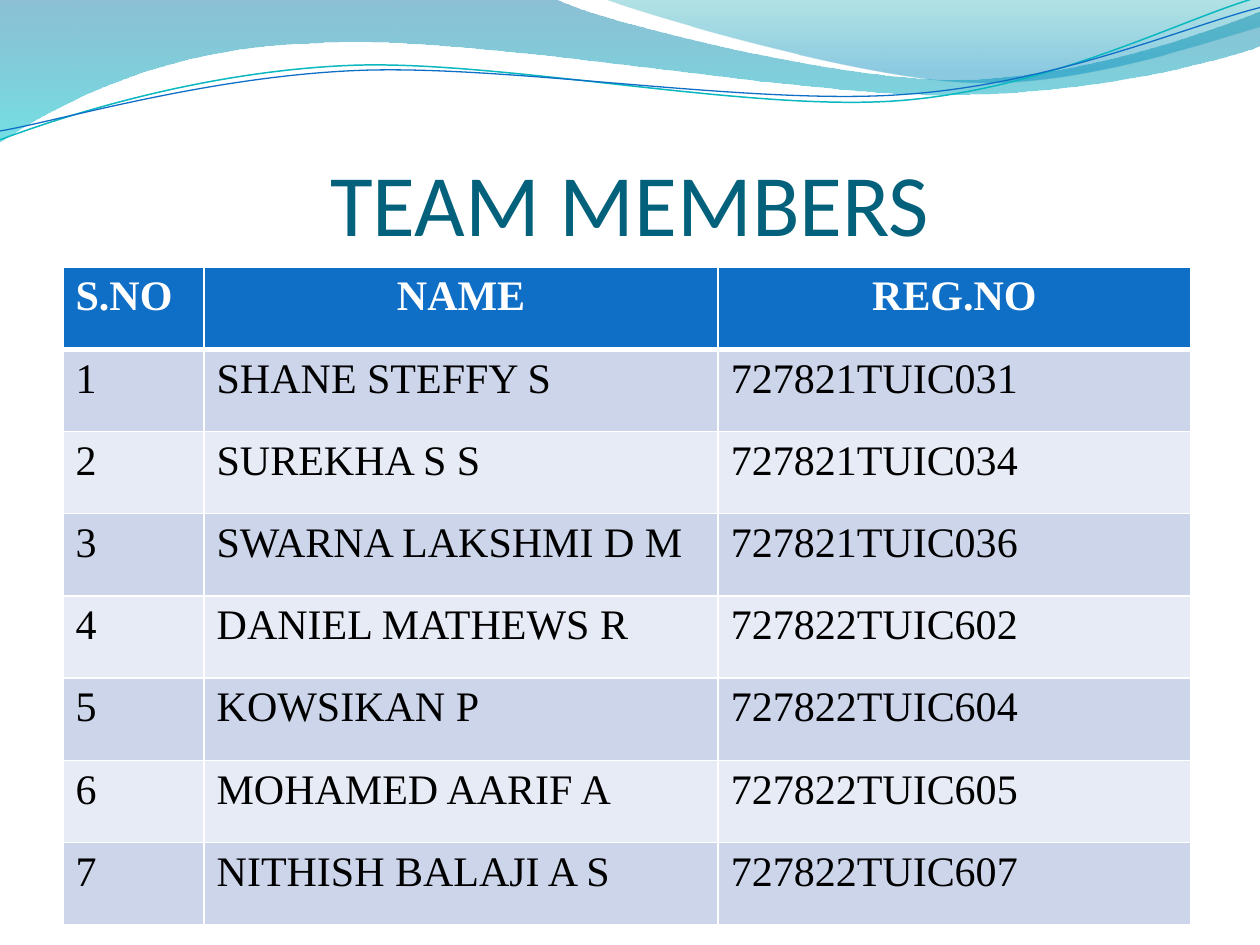
from lxml import etree
from pptx import Presentation
from pptx import util as u
from pptx.dml import color
from pptx.enum import text
from pptx.oxml import ns

WHITE, BLUE, TEAL, NAVY = "FFFFFF", "0F6FC6", "0AB8BF", "04617B"
BANDS = ["CCD5EA", "E7EBF5"]
CENTER, LEFT = text.PP_ALIGN.CENTER, text.PP_ALIGN.LEFT

HEAD = ["S.NO", "NAME", "REG.NO"]
TEAM = [
    ("SHANE STEFFY S", "727821TUIC031"),
    ("SUREKHA S S", "727821TUIC034"),
    ("SWARNA LAKSHMI D M", "727821TUIC036"),
    ("DANIEL MATHEWS R", "727822TUIC602"),
    ("KOWSIKAN P", "727822TUIC604"),
    ("MOHAMED AARIF A", "727822TUIC605"),
    ("NITHISH BALAJI A S", "727822TUIC607"),
]

BACK = [
    (0, 0), (4.4, -0.01),
    (4.76, 0.17, 6.64, 0.63, 7.58, 0.63), (8.53, 0.63, 9.58, 0.26, 10, 0.09),
    (10.01, 0.36),
    (9.83, 0.44, 8.7, 0.76, 7.46, 0.75), (6.22, 0.75, 3.82, 0.28, 2.57, 0.34),
    (1.29, 0.36, 0.46, 0.83, -0.01, 1.13),
]
FRONT = [
    (4.79, -0.01),
    (5.09, 0.11, 6.82, 0.62, 7.69, 0.65), (8.56, 0.69, 9.61, 0.32, 10, 0.21),
    (10, 0),
]
UPPER = [
    (0, 1.11),
    (0.48, 0.93, 1.58, 0.57, 2.77, 0.52), (3.95, 0.47, 5.93, 0.89, 7.13, 0.8),
    (8.33, 0.71, 9.38, 0.15, 9.98, -0.02),
]
LOWER = [
    (0, 1.04),
    (0.47, 0.96, 1.64, 0.61, 2.83, 0.56), (4.03, 0.51, 5.97, 0.84, 7.17, 0.75),
    (8.36, 0.67, 9.41, 0.21, 10, 0.06),
]


def rgb(code):
    return color.RGBColor.from_string(code)


class Deck:
    def __init__(self):
        self.show = Presentation()
        self.show.slide_width, self.show.slide_height = u.Inches(10), u.Inches(7.5)
        self.slide = self.show.slides.add_slide(self.show.slide_layouts[5])

    def style(self, frame, words, font, size, ink, align, bold=False):
        frame.text = words
        line = frame.paragraphs[0]
        line.alignment = align
        face = line.runs[0].font
        face.name, face.size, face.bold = font, u.Pt(size), bold
        face.color.rgb = rgb(ink)

    def curve(self, parts, close):
        points = [(u.Inches(part[i]), u.Inches(part[i + 1]))
                  for part in parts for i in range(0, len(part), 2)]
        pen = self.slide.shapes.build_freeform(*points[0])
        pen.add_line_segments(points[1:], close=close)
        shape = pen.convert_to_shape()
        shape.shadow.inherit = False
        lines = iter(list(shape._element.iter(ns.qn("a:lnTo"))))
        for part in parts[1:]:
            group = [next(lines) for _ in range(len(part) // 2)]
            if len(group) == 3:
                bend = etree.Element(ns.qn("a:cubicBezTo"))
                group[0].addprevious(bend)
                for line in group:
                    bend.append(line[0])
                    line.getparent().remove(line)
        return shape

    def wave(self, parts, stops):
        shape = self.curve(parts, True)
        shape.line.fill.background()
        shape.fill.gradient()
        shape.fill.gradient_angle = 270
        for stop, (place, ink, alpha) in zip(shape.fill.gradient_stops, stops):
            stop.position = place
            stop.color.rgb = rgb(ink)
        for tint, (_, _, alpha) in zip(shape._element.spPr.iter(ns.qn("a:srgbClr")), stops):
            etree.SubElement(tint, ns.qn("a:alpha"), val=str(alpha * 1000))

    def stroke(self, parts, ink, width):
        shape = self.curve(parts, False)
        shape.fill.background()
        shape.line.color.rgb = rgb(ink)
        shape.line.width = u.Pt(width)

    def title(self, words):
        shape = self.slide.shapes.title
        shape.left, shape.top = u.Inches(0.5), u.Inches(0.77)
        shape.width, shape.height = u.Inches(9), u.Inches(1.25)
        frame = shape.text_frame
        frame.margin_left = frame.margin_right = frame.margin_bottom = 0
        frame.margin_top = u.Inches(0.05)
        frame.vertical_anchor = text.MSO_ANCHOR.BOTTOM
        frame.auto_size = text.MSO_AUTO_SIZE.NONE
        self.style(frame, words, "Calibri", 50, NAVY, CENTER)
        self.slide.shapes._spTree.append(shape._element)

    def border(self, cell, top, base):
        props = cell._tc.get_or_add_tcPr()
        widths = {"lnL": 1, "lnR": 1, "lnT": top, "lnB": base}
        for spot, (tag, width) in enumerate(widths.items()):
            edge = etree.Element(ns.qn("a:" + tag), w=str(u.Pt(width)))
            fill = etree.SubElement(edge, ns.qn("a:solidFill"))
            etree.SubElement(fill, ns.qn("a:srgbClr"), val=WHITE)
            props.insert(spot, edge)

    def table(self, rows, widths):
        grid = self.slide.shapes.add_table(
            len(rows), len(widths),
            u.Inches(0.5), u.Inches(2.12), u.Inches(8.95), u.Inches(5.22)).table
        for col, width in zip(grid.columns, widths):
            col.width = u.Inches(width)
        for r, row in enumerate(rows):
            head = r == 0
            for c, words in enumerate(row):
                cell = grid.cell(r, c)
                cell.fill.solid()
                cell.fill.fore_color.rgb = rgb(BLUE if head else BANDS[(r - 1) % 2])
                self.style(cell.text_frame, words, "Times New Roman", 24,
                           WHITE if head else "000000",
                           CENTER if head and c else LEFT, head)
                self.border(cell, 3 if r == 1 else 1, 3 if head else 1)


def main():
    deck = Deck()
    deck.wave(BACK, [(0, "0074A1", 45), (1, "00C6CF", 55)])
    deck.wave(FRONT, [(0, "00A1A9", 30), (0.8, "008BBF", 45)])
    deck.stroke(UPPER, TEAL, 0.85)
    deck.stroke(LOWER, BLUE, 0.75)
    deck.title("TEAM MEMBERS")
    rows = [HEAD] + [(str(n), *who) for n, who in enumerate(TEAM, 1)]
    deck.table(rows, [1.12, 4.08, 3.75])
    deck.show.save("out.pptx")


if __name__ == "__main__":
    main()
